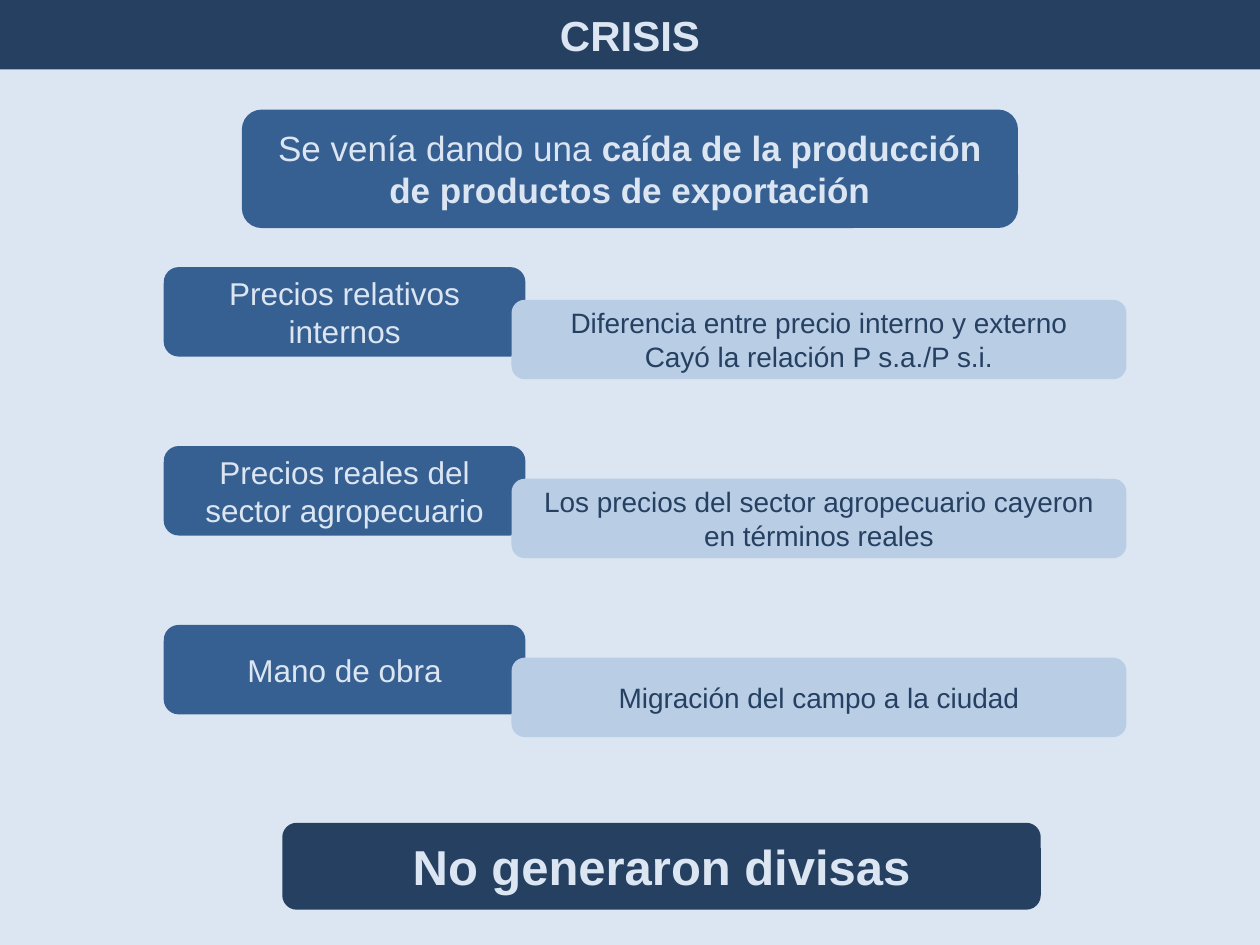
from dataclasses import dataclass

from pptx import Presentation
from pptx.dml.color import RGBColor
from pptx.enum.shapes import MSO_SHAPE
from pptx.enum.text import MSO_ANCHOR, MSO_AUTO_SIZE, PP_ALIGN
from pptx.util import Inches, Pt

ROUNDED = MSO_SHAPE.ROUNDED_RECTANGLE
MIDDLE = MSO_ANCHOR.MIDDLE
CENTER = PP_ALIGN.CENTER
NO_AUTOFIT = MSO_AUTO_SIZE.NONE
TITLE_ONLY = 5


@dataclass(frozen=True)
class Theme:
    font: str = "Arial"
    pale: str = "DCE6F2"
    light: str = "B9CDE5"
    medium: str = "376092"
    dark: str = "254061"
    title: int = 24
    lead: int = 20
    topic: int = 18
    detail: int = 16
    conclusion: int = 28


THEME = Theme()

# Rows of topic and detail boxes, in inches
FIRST_ROW, ROW_STEP = 2.12, 1.42
TOPIC_LEFT, TOPIC_WIDTH, TOPIC_HEIGHT = 1.3, 2.87, 0.71
DETAIL_LEFT, DETAIL_WIDTH, DETAIL_HEIGHT = 4.06, 4.88, 0.63
DETAIL_DROP = 0.26

ROWS = [
    ("Precios relativos internos",
     ["Diferencia entre precio interno y externo", "Cayó la relación P s.a./P s.i."]),
    ("Precios reales del sector agropecuario",
     ["Los precios del sector agropecuario cayeron en términos reales"]),
    ("Mano de obra", ["Migración del campo a la ciudad"]),
]


def paint(shape, color):
    shape.fill.solid()
    shape.fill.fore_color.rgb = RGBColor.from_string(color)
    shape.line.fill.background()


def write(shape, lines, size, color, bold=False):
    """Fill a shape with centred lines of text."""
    frame = shape.text_frame
    frame.text = "\n".join(lines)
    frame.word_wrap = True
    frame.auto_size = NO_AUTOFIT
    frame.vertical_anchor = MIDDLE
    for para in frame.paragraphs:
        para.alignment = CENTER
        for span in para.runs:
            span.font.name = THEME.font
            span.font.size = Pt(size)
            span.font.bold = bold
            span.font.color.rgb = RGBColor.from_string(color)


def add_box(page, area, fill, lines, size, color=THEME.pale, bold=False):
    box = page.shapes.add_shape(ROUNDED, *map(Inches, area))
    box.shadow.inherit = False
    paint(box, fill)
    write(box, lines, size, color, bold)
    return box


def add_title(page, text, width):
    title = page.shapes.title
    title.left, title.top, title.width, title.height = 0, 0, width, Inches(0.55)
    paint(title, THEME.dark)
    write(title, [text], THEME.title, THEME.pale, bold=True)


def add_lead(page):
    box = add_box(page, (1.92, 0.87, 6.16, 0.94), THEME.medium,
                  ["Se venía dando una "], THEME.lead)
    para = box.text_frame.paragraphs[0]
    span = para.add_run()
    span.text = "caída de la producción de productos de exportación"
    span.font.name = THEME.font
    span.font.size = Pt(THEME.lead)
    span.font.bold = True
    span.font.color.rgb = RGBColor.from_string(THEME.pale)


def add_row(page, index, topic, details):
    top = FIRST_ROW + index * ROW_STEP
    add_box(page, (TOPIC_LEFT, top, TOPIC_WIDTH, TOPIC_HEIGHT),
            THEME.medium, [topic], THEME.topic)
    add_box(page, (DETAIL_LEFT, top + DETAIL_DROP, DETAIL_WIDTH, DETAIL_HEIGHT),
            THEME.light, details, THEME.detail, THEME.dark)


def main():
    deck = Presentation()
    deck.slide_width, deck.slide_height = Inches(10), Inches(7.5)
    page = deck.slides.add_slide(deck.slide_layouts[TITLE_ONLY])
    page.background.fill.solid()
    page.background.fill.fore_color.rgb = RGBColor.from_string(THEME.pale)

    # Heading and lead statement
    add_title(page, "CRISIS", deck.slide_width)
    add_lead(page)

    # Causes
    for index, (topic, details) in enumerate(ROWS):
        add_row(page, index, topic, details)

    # Conclusion
    add_box(page, (2.24, 6.53, 6.02, 0.69), THEME.dark,
            ["No generaron divisas"], THEME.conclusion, bold=True)

    deck.save("out.pptx")


if __name__ == "__main__":
    main()
